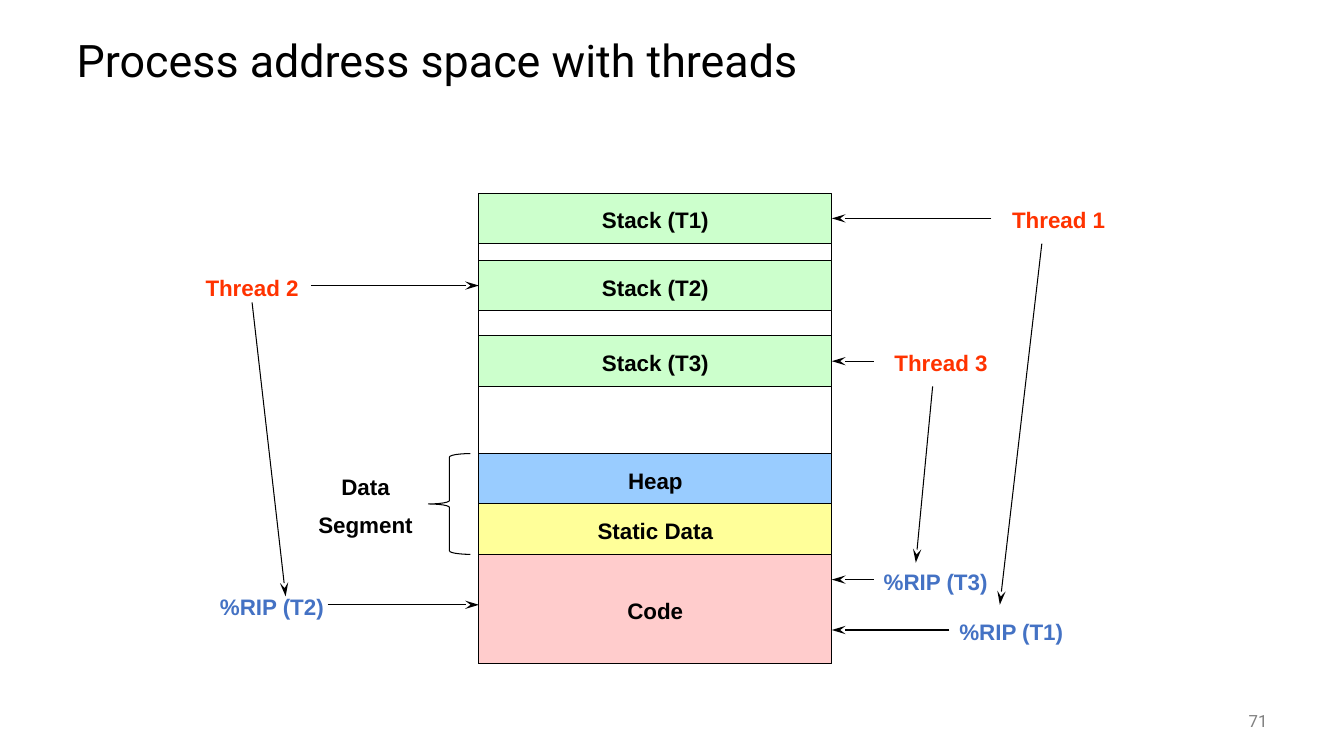
from lxml import etree
from pptx import Presentation
from pptx.dml.color import RGBColor
from pptx.enum.shapes import MSO_CONNECTOR, MSO_SHAPE
from pptx.enum.text import MSO_ANCHOR, PP_ALIGN
from pptx.oxml.ns import qn
from pptx.util import Inches, Pt

RECT, BRACE = MSO_SHAPE.RECTANGLE, MSO_SHAPE.LEFT_BRACE
STRAIGHT = MSO_CONNECTOR.STRAIGHT
TOP, MIDDLE = MSO_ANCHOR.TOP, MSO_ANCHOR.MIDDLE
LEFT, CENTER, RIGHT = PP_ALIGN.LEFT, PP_ALIGN.CENTER, PP_ALIGN.RIGHT

BLACK = RGBColor(0x00, 0x00, 0x00)
GRAY = RGBColor(0x80, 0x80, 0x80)
GREEN = RGBColor(0xCC, 0xFF, 0xCC)
SKY = RGBColor(0x99, 0xCC, 0xFF)
YELLOW = RGBColor(0xFF, 0xFF, 0x99)
PINK = RGBColor(0xFF, 0xCC, 0xCC)
RED = RGBColor(0xFF, 0x33, 0x00)
BLUE = RGBColor(0x44, 0x72, 0xC4)

UNIT = Inches(1) // 12
SPACE_X, SPACE_Y, SPACE_W, SPACE_H = 57, 23, 42, 56
SPACE_R = SPACE_X + SPACE_W


def write(sp, text, color, align=CENTER, anchor=TOP, font="Arial", size=16, bold=True):
    tf = sp.text_frame
    tf.word_wrap = True
    tf.vertical_anchor = anchor
    for i, line in enumerate(text.split("\n")):
        p = tf.add_paragraph() if i else tf.paragraphs[0]
        p.alignment = align
        if i:
            p.space_before = Pt(size / 2)
        r = p.add_run()
        r.text = line
        r.font.name = font
        r.font.size = Pt(size)
        r.font.bold = bold
        r.font.color.rgb = color


def add_outline(kind, x, y, w, h, fill=None):
    sp = s.shapes.add_shape(kind, x * UNIT, y * UNIT, w * UNIT, h * UNIT)
    sp.shadow.inherit = False
    sp.line.color.rgb = BLACK
    sp.line.width = Pt(0.75)
    if fill is None:
        sp.fill.background()
    else:
        sp.fill.solid()
        sp.fill.fore_color.rgb = fill
    return sp


prs = Presentation()
prs.slide_width, prs.slide_height = Inches(13.33), Inches(7.5)
s = prs.slides.add_slide(prs.slide_layouts[5])

title = s.shapes.title
title.left, title.top = Inches(0.66), Inches(0.25)
title.width, title.height = Inches(12), Inches(0.75)
write(title, "Process address space with threads", BLACK, LEFT, MIDDLE, "Roboto", 32, False)
title.text_frame.paragraphs[0].line_spacing = 0.9

number = s.shapes.add_textbox(Inches(11.67), Inches(6.95), Inches(1), Inches(0.4))
write(number, "71", GRAY, RIGHT, MIDDLE, "Roboto", 12, False)

add_outline(RECT, SPACE_X, SPACE_Y, SPACE_W, SPACE_H)
for text, y, h, fill in [
    ("Stack (T1)", 23, 6, GREEN),
    ("Stack (T2)", 31, 6, GREEN),
    ("Stack (T3)", 40, 6, GREEN),
    ("Heap", 54, 6, SKY),
    ("Static Data", 60, 6, YELLOW),
    ("Code", 66, 13, PINK),
]:
    sp = add_outline(RECT, SPACE_X, y, SPACE_W, h, fill)
    write(sp, text, BLACK, anchor=MIDDLE)
    sp.text_frame.margin_top = Inches(0.08)

add_outline(BRACE, 51, 54, 5, 12)

for text, x, y, w, h, color, align in [
    ("Thread 1", 115, 24, 22, 4.4, RED, CENTER),
    ("Thread 2", 19, 32, 22, 4.4, RED, CENTER),
    ("Thread 3", 101, 41, 22, 4.4, RED, CENTER),
    ("%RIP (T1)", 113, 73, 16, 4.4, BLUE, LEFT),
    ("%RIP (T2)", 25, 70, 15, 4.4, BLUE, LEFT),
    ("%RIP (T3)", 104, 67, 15, 4.4, BLUE, LEFT),
    ("Data\nSegment", 36, 55.7, 15, 9.2, BLACK, CENTER),
]:
    sp = s.shapes.add_textbox(int(x * UNIT), int(y * UNIT), int(w * UNIT), int(h * UNIT))
    write(sp, text, color, align)

for x1, y1, x2, y2 in [
    (118, 26, SPACE_R, 26),
    (37, 34, SPACE_X, 34),
    (104, 43, SPACE_R, 43),
    (113, 75, SPACE_R, 75),
    (39, 72, SPACE_X, 72),
    (104, 69, SPACE_R, 69),
    (124, 29, 119, 72),
    (30, 36, 34, 71),
    (111, 46, 109, 67),
]:
    arrow = s.shapes.add_connector(STRAIGHT, x1 * UNIT, y1 * UNIT, x2 * UNIT, y2 * UNIT)
    arrow.line.color.rgb = BLACK
    arrow.line.width = Pt(0.75)
    ln = arrow.line._get_or_add_ln()
    etree.SubElement(ln, qn("a:tailEnd"), type="stealth", w="med", len="lg")
    etree.SubElement(arrow._element.spPr, qn("a:effectLst"))

prs.save("out.pptx")
